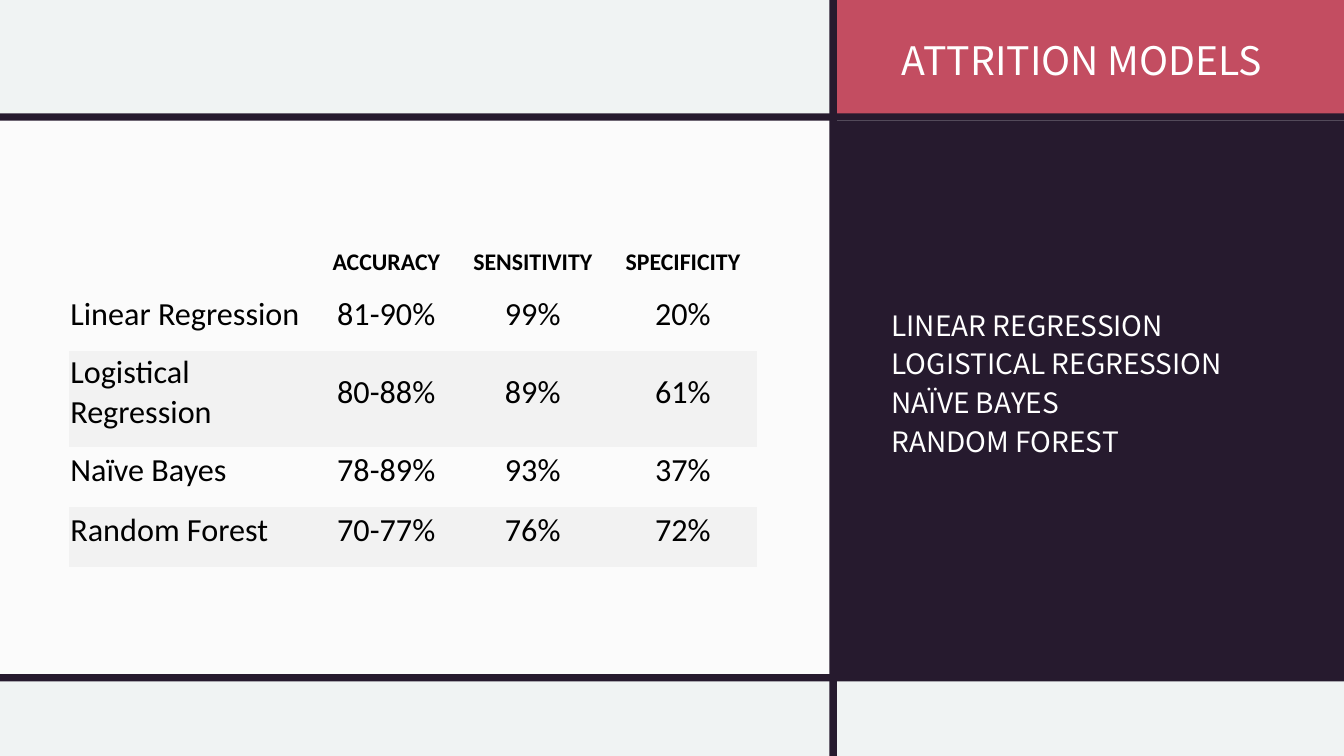
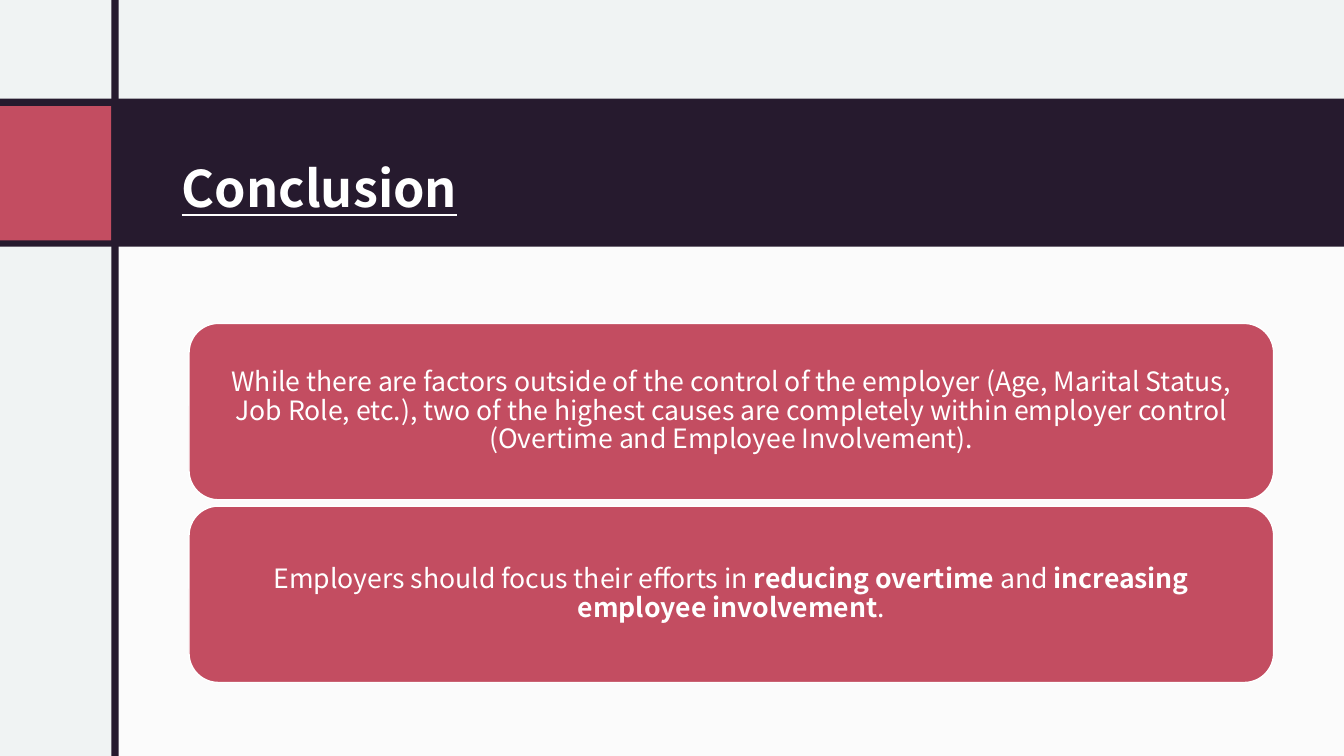
from lxml.etree import SubElement
from pptx import Presentation
from pptx.dml.color import RGBColor
from pptx.enum.shapes import MSO_SHAPE
from pptx.enum.text import MSO_ANCHOR, PP_ALIGN
from pptx.oxml.ns import qn
from pptx.util import Emu, Pt

PX = 9525
WIDTH, HEIGHT, BAR = 1280, 720, 7
MIST = RGBColor(0xF0, 0xF3, 0xF3)
WHITE = RGBColor(0xFF, 0xFF, 0xFF)
BLACK = RGBColor(0x00, 0x00, 0x00)
PLUM = RGBColor(0x26, 0x1A, 0x2E)
ROSE = RGBColor(0xC3, 0x4D, 0x61)
STRIPE = RGBColor(0xF2, 0xF2, 0xF2)
NO_GRID_STYLE = "{2D5ABB26-0587-4C30-8999-92F81FD0307C}"

HEADING = {"name": "Noto Sans CJK JP", "size": Pt(28)}
MODEL_LIST = {"name": "Noto Sans CJK JP", "size": Pt(20)}
TITLE = {"name": "Noto Sans CJK JP", "size": Pt(36), "bold": True, "underline": True}
CARD = {"name": "Noto Sans CJK JP", "size": Pt(19)}
TABLE_HEAD = {"name": "Calibri", "size": Pt(17), "bold": True}
TABLE_BODY = {"name": "Calibri", "size": Pt(23), "bold": False}

TITLE_INSETS = (12, 12, 12, 10)
HEADING_INSETS = (10, 5, 10, 5)
CARD_INSETS = (16, 16, 16, 16)
HEAD_INSETS = (1, 13, 1, 13)
BODY_INSETS = (1, 1, 1, 13)

MODELS = ["LINEAR REGRESSION", "LOGISTICAL REGRESSION", "NAÏVE BAYES", "RANDOM FOREST"]
SCORES = [
    ["", "ACCURACY", "SENSITIVITY", "SPECIFICITY"],
    ["Linear Regression", "81-90%", "99%", "20%"],
    ["Logistical Regression", "80-88%", "89%", "61%"],
    ["Naïve Bayes", "78-89%", "93%", "37%"],
    ["Random Forest", "70-77%", "76%", "72%"],
]
FINDINGS = [
    [("While there are factors outside of the control of the employer (Age, Marital Status, "
      "Job Role, etc.), two of the highest causes are completely within employer control "
      "(Overtime and Employee Involvement).", False)],
    [("Employers should focus their efforts in ", False), ("reducing overtime", True),
     (" and ", False), ("increasing employee involvement", True), (".", False)],
]


def px(*lengths):
    return [Emu(length * PX) for length in lengths]


class Deck:
    """Hold the shared style and the current slide, and draw elements on it."""

    def __init__(self):
        self.presentation = Presentation()
        self.presentation.slide_width, self.presentation.slide_height = px(WIDTH, HEIGHT)
        self.slide = None

    def add_slide(self):
        self.slide = self.presentation.slides.add_slide(self.presentation.slide_layouts[6])
        fill = self.slide.background.fill
        fill.solid()
        fill.fore_color.rgb = MIST

    def block(self, left, top, width, height, color, kind=MSO_SHAPE.RECTANGLE):
        shape = self.slide.shapes.add_shape(kind, *px(left, top, width, height))
        shape.shadow.inherit = False
        shape.fill.solid()
        shape.fill.fore_color.rgb = color
        shape.line.fill.background()
        return shape

    def panel(self, left, top, width, height):
        shape = self.block(left, top, width, height, WHITE)
        color = next(shape.element.iter(qn("a:srgbClr")))
        SubElement(color, qn("a:alpha"), val="75000")

    def horizontal_bar(self, top):
        self.block(0, top, WIDTH, BAR, PLUM)

    def vertical_bar(self, left):
        self.block(left, 0, BAR, HEIGHT, PLUM)

    def insets(self, target, values):
        for side, value in zip(("left", "top", "right", "bottom"), px(*values)):
            setattr(target, f"margin_{side}", value)

    def fill_paragraph(self, paragraph, runs, style, color=WHITE, tracking=0, **layout):
        for name, value in layout.items():
            setattr(paragraph, name, value)
        for text, bold in runs:
            run = paragraph.add_run()
            run.text = text
            for name, value in style.items():
                setattr(run.font, name, value)
            if bold:
                run.font.bold = True
            run.font.color.rgb = color
        if tracking:
            for properties in paragraph.font._element.getparent().iter(qn("a:rPr")):
                properties.set("spc", str(tracking))

    def text(self, left, top, width, height, lines, style, insets, anchor, **layout):
        frame = self.slide.shapes.add_textbox(*px(left, top, width, height)).text_frame
        frame.word_wrap = True
        frame.vertical_anchor = anchor
        self.insets(frame, insets)
        for index, line in enumerate(lines):
            paragraph = frame.add_paragraph() if index else frame.paragraphs[0]
            self.fill_paragraph(paragraph, [(line, False)], style, **layout)

    def card(self, left, top, width, height, runs):
        shape = self.block(left, top, width, height, ROSE, MSO_SHAPE.ROUNDED_RECTANGLE)
        shape.line.color.rgb = WHITE
        shape.line.width = Pt(1)
        frame = shape.text_frame
        frame.word_wrap = True
        frame.vertical_anchor = MSO_ANCHOR.MIDDLE
        self.insets(frame, CARD_INSETS)
        self.fill_paragraph(frame.paragraphs[0], runs, CARD,
                            alignment=PP_ALIGN.CENTER, line_spacing=0.9)

    def table(self, left, top, widths, heights, rows):
        frame = self.slide.shapes.add_table(
            len(rows), len(widths), *px(left, top, sum(widths), sum(heights)))
        next(frame.element.iter(qn("a:tableStyleId"))).text = NO_GRID_STYLE
        table = frame.table
        table.first_row = table.horz_banding = False
        for column, width in zip(table.columns, px(*widths)):
            column.width = width
        for row, height in zip(table.rows, px(*heights)):
            row.height = height
        for row_index, row in enumerate(rows):
            for column_index, text in enumerate(row):
                self.table_cell(table.cell(row_index, column_index), text,
                                row_index, column_index)

    def table_cell(self, cell, text, row_index, column_index):
        is_head = row_index == 0
        self.insets(cell, HEAD_INSETS if is_head else BODY_INSETS)
        cell.vertical_anchor = MSO_ANCHOR.BOTTOM if is_head else MSO_ANCHOR.MIDDLE
        if row_index and row_index % 2 == 0:
            cell.fill.solid()
            cell.fill.fore_color.rgb = STRIPE
        else:
            cell.fill.background()
        if text:
            self.fill_paragraph(cell.text_frame.paragraphs[0], [(text, False)],
                                TABLE_HEAD if is_head else TABLE_BODY, BLACK,
                                60 if is_head else 0,
                                alignment=PP_ALIGN.CENTER if column_index else PP_ALIGN.LEFT)


def build_models(deck):
    deck.add_slide()
    deck.panel(0, 108, 791, 537)
    deck.block(793, 0, WIDTH - 793, 111, ROSE)
    deck.horizontal_bar(108)
    deck.block(797, 115, WIDTH - 797, 527, PLUM)
    deck.text(837, 180, 434, 266, MODELS, MODEL_LIST, TITLE_INSETS, MSO_ANCHOR.BOTTOM,
              tracking=150, line_spacing=1.15)
    deck.horizontal_bar(642)
    deck.vertical_bar(790)
    deck.table(66, 218, [235, 134, 145, 141], [59, 57, 92, 57, 57], SCORES)
    deck.text(849, 30, WIDTH - 849, 55, ["ATTRITION MODELS"], HEADING, HEADING_INSETS,
              MSO_ANCHOR.TOP)


def build_conclusion(deck):
    deck.add_slide()
    deck.panel(109, 224, WIDTH - 109, HEIGHT - 224)
    deck.block(0, 94, WIDTH, 141, PLUM)
    deck.text(161, 109, 1051, 108, ["Conclusion"], TITLE, TITLE_INSETS, MSO_ANCHOR.MIDDLE,
              tracking=150, line_spacing=1.5)
    deck.block(0, 101, 106, 128, ROSE)
    deck.vertical_bar(106)
    for index, runs in enumerate(FINDINGS):
        deck.card(180, 308 + index * 174, 1033, 168, runs)


def main():
    deck = Deck()
    build_models(deck)
    build_conclusion(deck)
    deck.presentation.save("out.pptx")


if __name__ == "__main__":
    main()
